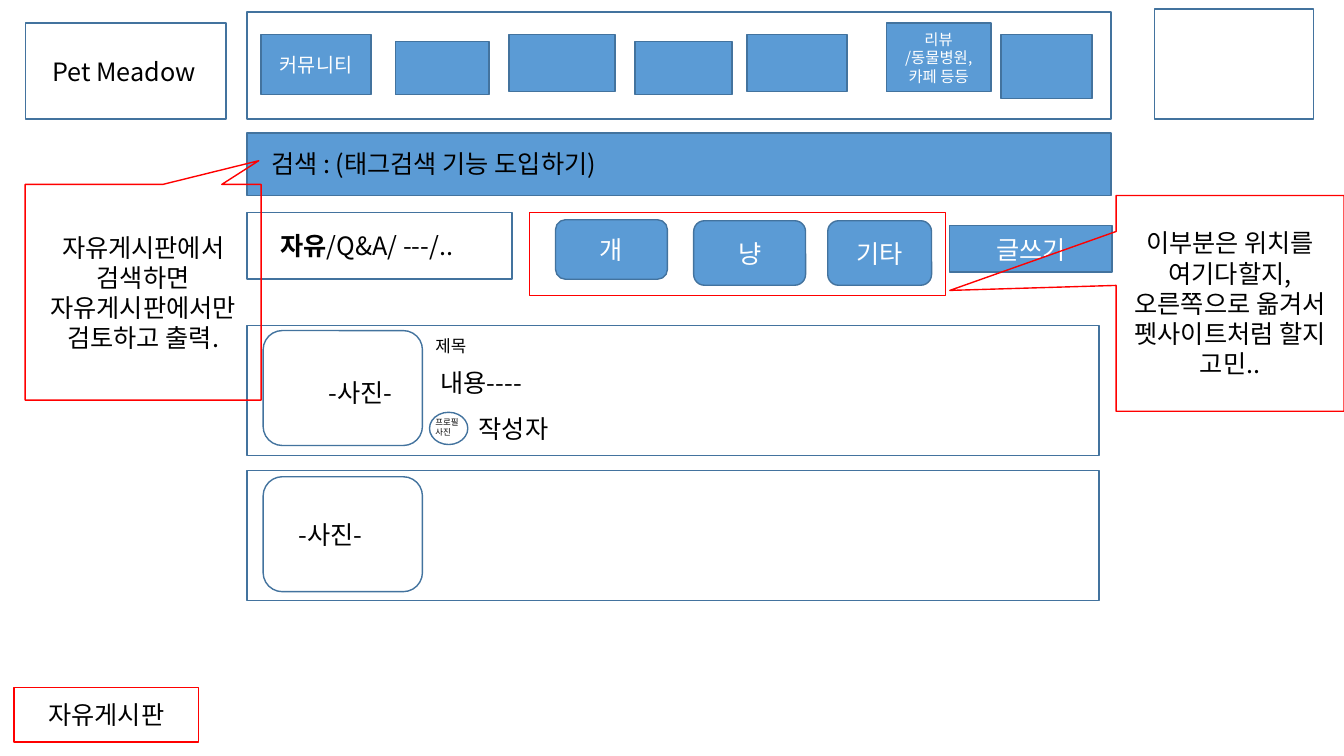
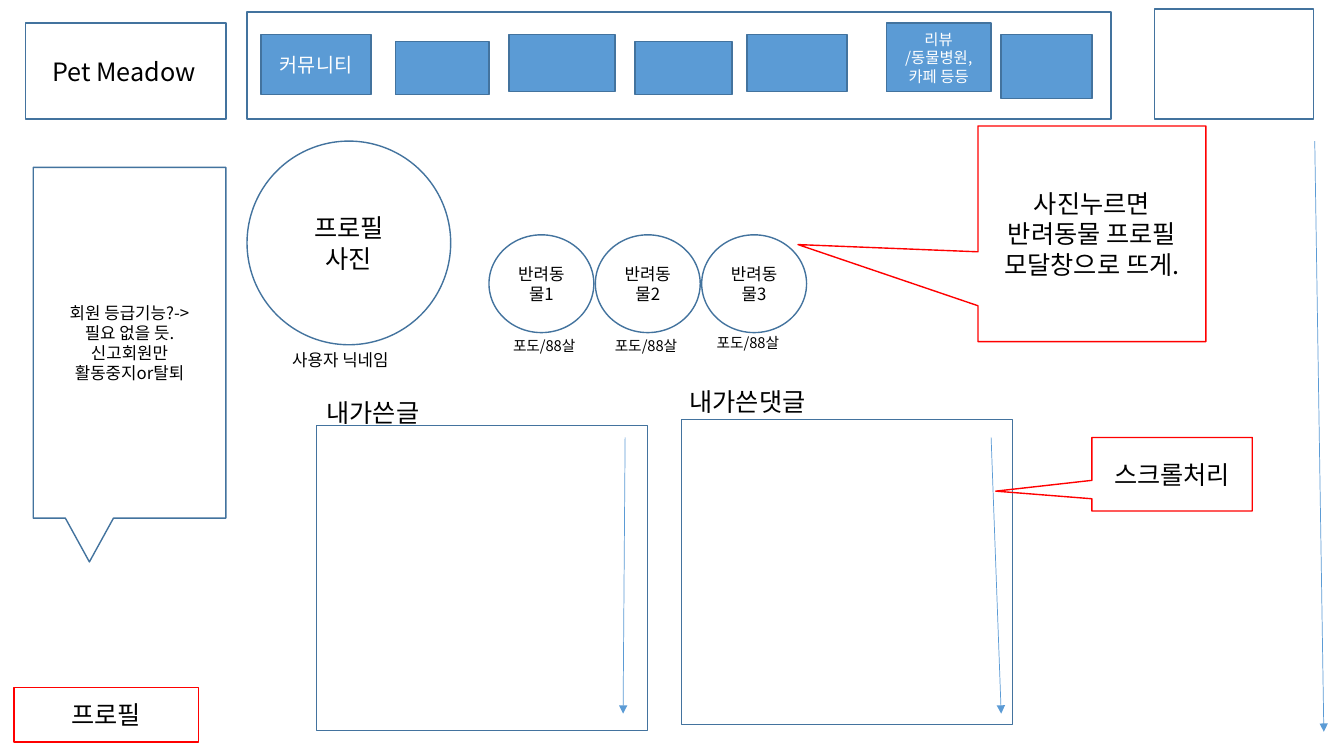
from lxml.etree import SubElement
from pptx import Presentation
from pptx.dml.color import RGBColor
from pptx.enum.shapes import MSO_CONNECTOR, MSO_SHAPE
from pptx.enum.text import MSO_ANCHOR, MSO_AUTO_SIZE, PP_ALIGN
from pptx.oxml.ns import qn
from pptx.util import Inches, Pt

BLUE = RGBColor(0x5B, 0x9B, 0xD5)
NAVY = RGBColor(0x43, 0x73, 0x9E)
RED = RGBColor(0xFF, 0x00, 0x00)
BLACK = RGBColor(0x00, 0x00, 0x00)
WHITE = RGBColor(0xFF, 0xFF, 0xFF)
FONT = "Noto Sans CJK KR"

RECT, ROUND, OVAL, CALLOUT = (MSO_SHAPE.RECTANGLE, MSO_SHAPE.ROUNDED_RECTANGLE,
                              MSO_SHAPE.OVAL, MSO_SHAPE.RECTANGULAR_CALLOUT)

MENU = [
    (2.59, 0.34, 1.09, 0.6, ["커뮤니티"], 14),
    (3.92, 0.41, 0.93, 0.53, [], 14),
    (5.05, 0.34, 1.05, 0.57, [], 14),
    (6.3, 0.41, 0.96, 0.53, [], 14),
    (7.41, 0.34, 0.99, 0.57, [], 14),
    (8.79, 0.23, 1.04, 0.68, ["리뷰", "/동물병원, 카페 등등"], 11),
    (9.93, 0.34, 0.9, 0.64, [], 14),
]


class Wireframe:
    box_format = {"word_wrap": True, "vertical_anchor": MSO_ANCHOR.MIDDLE,
                  "auto_size": MSO_AUTO_SIZE.NONE}
    label_format = {"word_wrap": True, "vertical_anchor": MSO_ANCHOR.TOP,
                    "auto_size": MSO_AUTO_SIZE.SHAPE_TO_FIT_TEXT}

    def __init__(self, prs):
        self.prs = prs
        self.s = None

    def add_run(self, p, text, size, color, bold=False):
        r = p.add_run()
        r.text = text
        for name, value in {"name": FONT, "size": Pt(size), "bold": bold}.items():
            setattr(r.font, name, value)
        r.font.color.rgb = color
        SubElement(r._r.get_or_add_rPr(), qn("a:ea"), typeface=FONT)

    def fill_text(self, sp, lines, size, color, align, frame_format, lead=""):
        tf = sp.text_frame
        for name, value in frame_format.items():
            setattr(tf, name, value)
        for i, line in enumerate(lines):
            p = tf.add_paragraph() if i else tf.paragraphs[0]
            p.alignment = align
            if lead:
                self.add_run(p, lead, size, color, bold=True)
            self.add_run(p, line, size, color)

    def outline(self, sp, color):
        sp.line.color.rgb = color
        sp.line.width = Pt(1)

    def box(self, x, y, w, h, lines=(), size=18, kind=RECT, line=NAVY, fill=None,
            align=PP_ALIGN.CENTER, tip=()):
        sp = self.s.shapes.add_shape(kind, Inches(x), Inches(y), Inches(w), Inches(h))
        sp.shadow.inherit = False
        if fill is None:
            sp.fill.background()
        else:
            sp.fill.solid()
            sp.fill.fore_color.rgb = fill
        self.outline(sp, line)
        for i, value in enumerate(tip):
            sp.adjustments[i] = value
        self.fill_text(sp, lines, size, BLACK if fill is None else WHITE, align, self.box_format)
        return sp

    def button(self, x, y, w, h, lines=(), size=18, kind=RECT):
        return self.box(x, y, w, h, lines, size, kind, fill=BLUE)

    def note(self, x, y, w, h, lines, tip):
        return self.box(x, y, w, h, lines, kind=CALLOUT, line=RED, tip=tip)

    def label(self, x, y, w, h, text, size=18, lead=""):
        sp = self.s.shapes.add_textbox(Inches(x), Inches(y), Inches(w), Inches(h))
        self.fill_text(sp, [text], size, BLACK, PP_ALIGN.LEFT, self.label_format, lead)

    def arrow(self, x1, y1, x2, y2):
        c = self.s.shapes.add_connector(MSO_CONNECTOR.STRAIGHT, Inches(x1), Inches(y1),
                                        Inches(x2), Inches(y2))
        c.line.color.rgb = BLUE
        c.line.width = Pt(0.5)
        properties = c.element.spPr
        SubElement(properties.find(qn("a:ln")), qn("a:tailEnd"), type="triangle")
        SubElement(properties, qn("a:effectLst"))

    def title(self, text):
        sp = self.s.shapes.title
        place = {"left": 0.14, "top": 6.82, "width": 1.83, "height": 0.54}
        for name, value in place.items():
            setattr(sp, name, Inches(value))
        self.outline(sp, RED)
        self.fill_text(sp, [text], 18, BLACK, PP_ALIGN.CENTER, self.box_format)

    def page(self, title):
        self.s = self.prs.slides.add_slide(self.prs.slide_layouts[5])
        self.title(title)
        self.box(2.45, 0.12, 8.57, 1.06)
        self.box(11.45, 0.09, 1.58, 1.09)
        for item in MENU:
            self.button(*item)
        site = self.box(0.25, 0.23, 1.99, 0.95, ["Pet Meadow"], align=PP_ALIGN.LEFT)
        site.text_frame.margin_left = Inches(0.27)


def board_page(w):
    w.page("자유게시판")
    w.button(2.45, 1.32, 8.57, 0.62)
    w.label(2.59, 1.42, 6.64, 0.4, "검색 : (태그검색 기능 도입하기)")
    w.box(2.45, 2.11, 2.63, 0.66)
    w.label(2.68, 2.24, 2.05, 0.4, "/Q&A/ ---/..", lead="자유")

    w.button(5.51, 2.18, 1.11, 0.59, ["개"], kind=ROUND)
    w.button(6.88, 2.19, 1.11, 0.64, ["냥"], kind=ROUND)
    w.button(8.21, 2.19, 1.03, 0.64, ["기타"], kind=ROUND)
    w.box(5.25, 2.11, 4.13, 0.82, line=RED)
    w.button(9.42, 2.24, 1.61, 0.46, ["글쓰기"])

    for top, photo_top, text_x, text_y in [(3.23, 3.28, 3.16, 3.69), (4.67, 4.73, 2.86, 5.1)]:
        w.box(2.45, top, 8.45, 1.29)
        w.box(2.61, photo_top, 1.58, 1.14, kind=ROUND)
        w.label(text_x, text_y, 0.91, 0.4, "-사진-")
    w.label(4.22, 3.28, 1.96, 0.3, "제목", 12)
    w.label(4.27, 3.59, 2.59, 0.4, "내용----")
    w.box(4.26, 4.09, 0.38, 0.32, kind=OVAL)
    w.label(4.22, 4.09, 0.45, 0.3, "프로필사진", 6)
    w.label(4.65, 4.05, 1.01, 0.4, "작성자")

    w.note(0.25, 1.83, 2.34, 2.14,
           ["자유게시판에서 검색하면", "자유게시판에서만", "검토하고 출력."], (0.49, -0.61))
    w.note(11.07, 1.94, 2.26, 2.14,
           ["이부분은 위치를 여기다할지, 오른쪽으로 옮겨서 펫사이트처럼 할지 고민.."],
           (-1.23, -0.06))


def profile_page(w):
    w.page("프로필")
    w.box(0.33, 1.66, 1.91, 3.48,
          ["회원 등급기능?->", "필요 없을 듯.", "신고회원만", "활동중지or탈퇴"], 12, CALLOUT)
    w.box(2.45, 1.4, 2.02, 2.02, ["프로필", "사진"], kind=OVAL)
    w.label(2.8, 3.42, 1.33, 0.3, "사용자 닉네임", 12)

    for i, caption_top in enumerate([3.29, 3.29, 3.26]):
        w.box(4.85 + 1.055 * i, 2.33, 1.04, 0.97, [f"반려동물{i + 1}"], 12, OVAL)
        w.label(4.99 + 1.01 * i, caption_top, 1.07, 0.28, "포도/88살", 10.5)

    w.box(3.14, 4.22, 3.28, 3.03)
    w.label(3.14, 3.89, 2.6, 0.4, "내가쓴글")
    w.box(6.76, 4.16, 3.28, 3.03)
    w.label(6.74, 3.78, 2.6, 0.4, "내가쓴댓글")

    w.arrow(6.2, 4.34, 6.18, 7.08)
    w.arrow(9.83, 4.34, 9.93, 7.08)
    w.arrow(13.04, 1.4, 13.13, 7.26)
    w.note(9.7, 1.25, 2.26, 2.14,
           ["사진누르면", "반려동물 프로필", "모달창으로 뜨게."], (-1.29, 0.05))
    w.note(10.83, 4.34, 1.59, 0.73, ["스크롤처리"], (-1.1, 0.23))


prs = Presentation()
prs.slide_width = Inches(13.33)
prs.slide_height = Inches(7.5)
wireframe = Wireframe(prs)
board_page(wireframe)
profile_page(wireframe)
prs.save("out.pptx")
